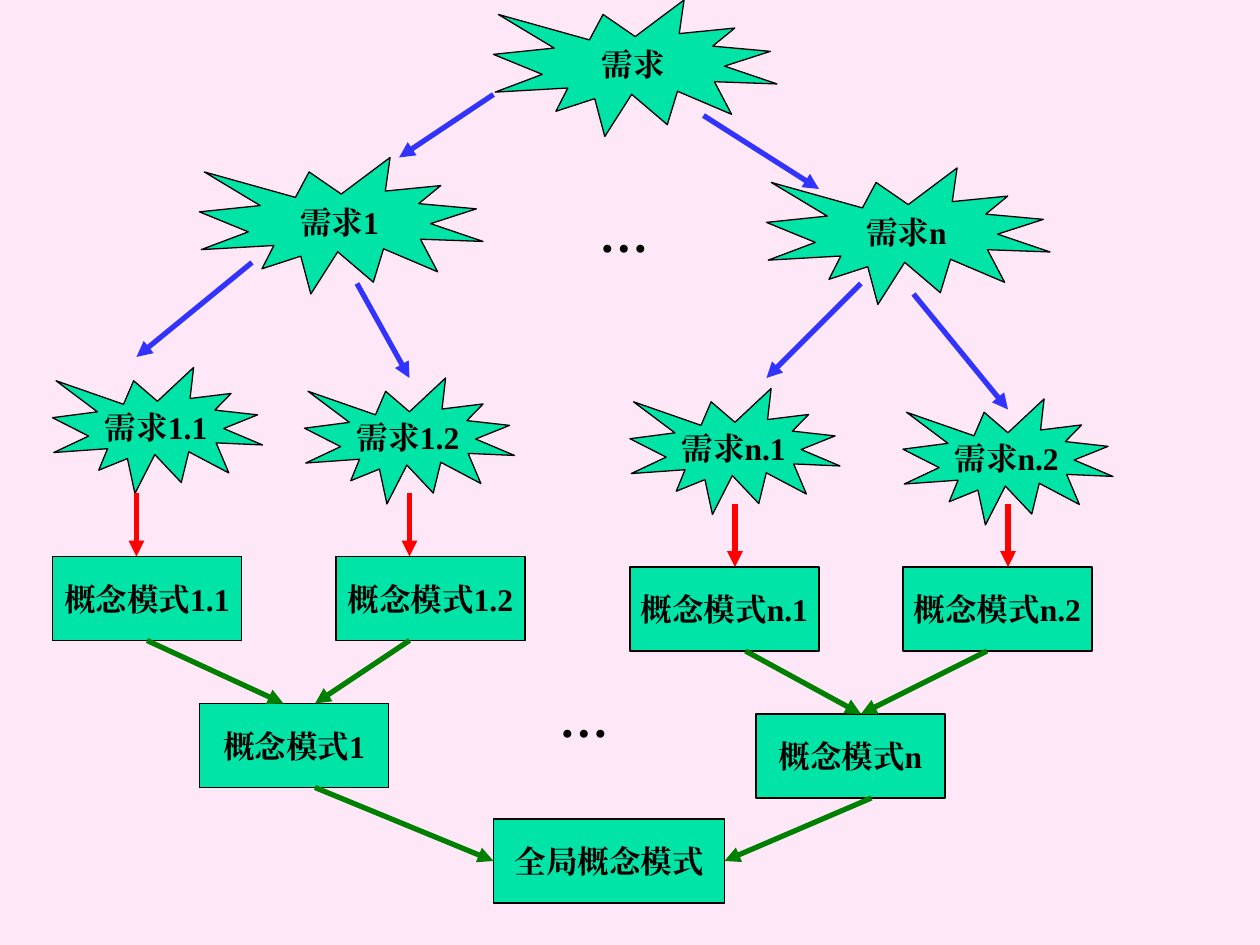
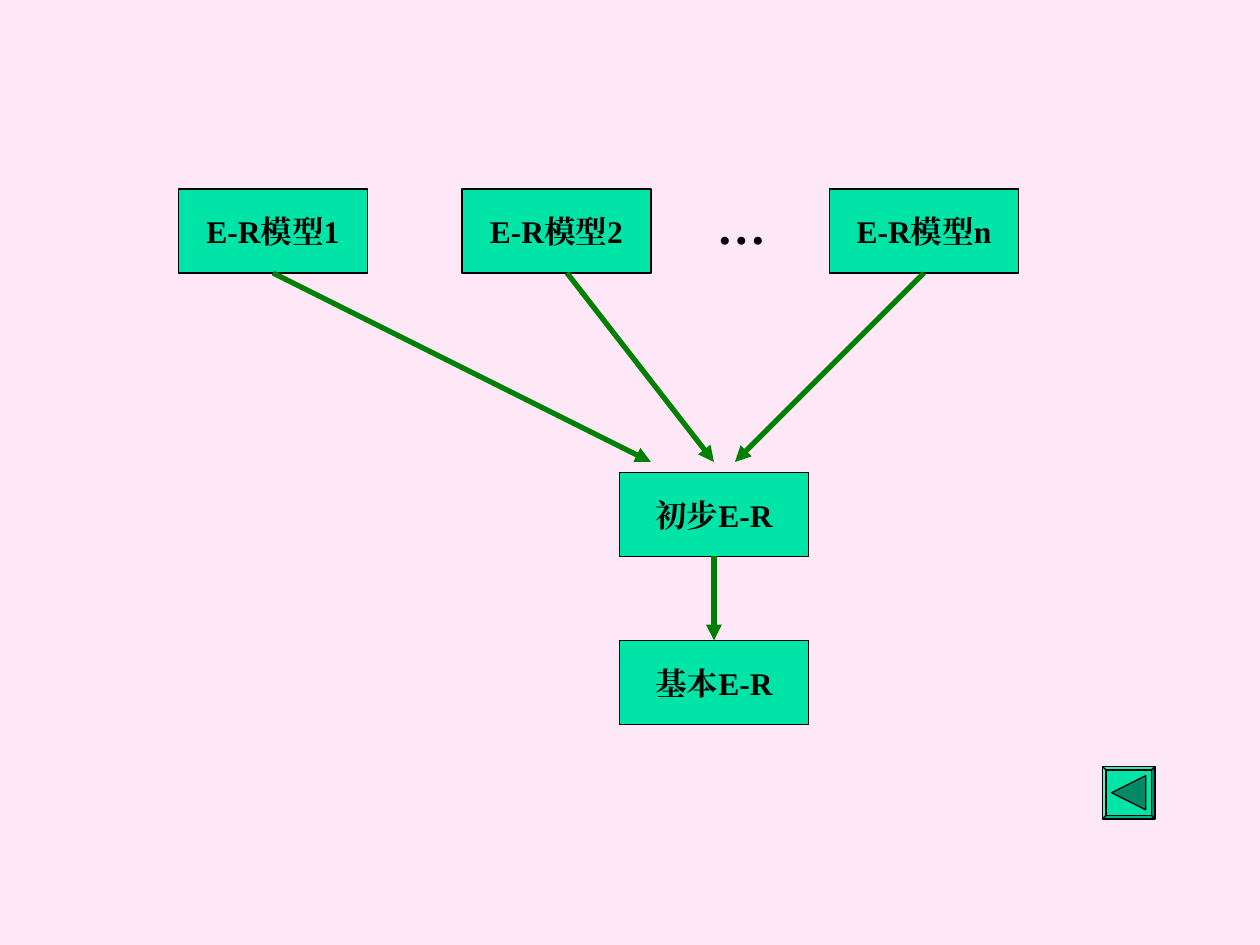
"""Builds two slides on splitting requirements and merging concept models."""
from lxml import etree
from pptx import Presentation, util as u
from pptx.dml.color import RGBColor
from pptx.enum import shapes, text
from pptx.oxml.ns import qn

PINK, MINT, DARK_MINT, BLACK = "FEE8F7", "00E4A8", "008965", "000000"
BLUE, RED, GREEN = "3333FF", "FF0000", "008000"
FONT = "Times New Roman"

UNITS_PER_INCH = 12
BOX, SEAL, SMALL_SEAL, DOTS = (18, 8), (27, 13), (20, 12), (7.1, 6.8)

SLIDES = [
    {
        "seals": [
            ("需求", (47, 0), SEAL),
            ("需求1", (19, 15), SEAL),
            ("需求n", (73, 16), SEAL),
            ("需求1.1", (5, 35), SMALL_SEAL),
            ("需求1.2", (29, 36), SMALL_SEAL),
            ("需求n.1", (60, 37), SMALL_SEAL),
            ("需求n.2", (86, 38), SMALL_SEAL),
        ],
        "boxes": [
            ("概念模式1.1", (5, 53), BOX),
            ("概念模式1.2", (32, 53), BOX),
            ("概念模式n.1", (60, 54), BOX),
            ("概念模式n.2", (86, 54), BOX),
            ("概念模式1", (19, 67), BOX),
            ("概念模式n", (72, 68), BOX),
            ("全局概念模式", (47, 78), (22, 8)),
        ],
        "dots": [(52.1, 65), (55.9, 18.8)],
        "arrows": {
            BLUE: [
                ((47, 9), (38, 15)), ((67, 11), (78, 18)),
                ((24, 25), (13, 34)), ((34, 27), (39, 36)),
                ((82, 27), (73, 36)), ((87, 28), (96, 39)),
            ],
            RED: [
                ((13, 47), (13, 53)), ((39, 47), (39, 53)),
                ((70, 48), (70, 54)), ((96, 48), (96, 54)),
            ],
            GREEN: [
                ((14, 61), (27, 67)), ((39, 61), (30, 67)),
                ((71, 62), (82, 68)), ((94, 62), (82, 68)),
                ((30, 75), (47, 82)), ((83, 76), (69, 82)),
            ],
        },
    },
    {
        "seals": [],
        "boxes": [
            ("E-R模型1", (17, 18), BOX),
            ("E-R模型2", (44, 18), BOX),
            ("E-R模型n", (79, 18), BOX),
            ("初步E-R", (59, 45), BOX),
            ("基本E-R", (59, 61), BOX),
        ],
        "dots": [(67.1, 18)],
        "arrows": {
            GREEN: [
                ((26, 26), (62, 44)), ((54, 26), (68, 44)),
                ((88, 26), (70, 44)), ((68, 53), (68, 61)),
            ],
        },
        "back_button": (105, 73),
    },
]


def grid(*values):
    return [u.Cm(v * 2.54 / UNITS_PER_INCH) for v in values]


def rgb(color):
    return RGBColor.from_string(color)


def paint(sp, color):
    sp.shadow.inherit = False
    sp.fill.solid()
    sp.fill.fore_color.rgb = rgb(color)
    sp.line.color.rgb = rgb(BLACK)
    sp.line.width = u.Pt(0.75)


def write(sp, words, size):
    tf = sp.text_frame
    tf.text = words
    tf.word_wrap = False
    r = tf.paragraphs[0].runs[0]
    r.font.name, r.font.size, r.font.bold = FONT, u.Pt(size), True
    r.font.color.rgb = rgb(BLACK)
    etree.SubElement(r._r.get_or_add_rPr(), qn("a:ea")).set("typeface", FONT)
    return tf


def add_label(s, kind, words, at, size):
    sp = s.shapes.add_shape(kind, *grid(*at, *size))
    paint(sp, MINT)
    tf = write(sp, words, 18)
    tf.vertical_anchor = text.MSO_ANCHOR.MIDDLE
    tf.paragraphs[0].alignment = text.PP_ALIGN.CENTER
    return sp


def side_middles(at, size):
    (x, y), (w, h) = at, size
    return [(x + w / 2, y), (x, y + h / 2), (x + w / 2, y + h), (x + w, y + h / 2)]


def add_arrow(s, start, end, color, joints):
    c = s.shapes.add_connector(shapes.MSO_CONNECTOR.STRAIGHT, *grid(*start, *end))
    c.line.color.rgb = rgb(color)
    c.line.width = u.Pt(3)
    etree.SubElement(c.line._get_or_add_ln(), qn("a:tailEnd")).set("type", "triangle")
    etree.SubElement(c._element.spPr, qn("a:effectLst"))
    if start in joints:
        c.begin_connect(*joints[start])
    if end in joints:
        c.end_connect(*joints[end])


def add_back_button(s, x, y):
    bevel = s.shapes.add_shape(shapes.MSO_SHAPE.BEVEL, *grid(x, y, 5, 5))
    bevel.adjustments[0] = 0.07
    paint(bevel, MINT)
    tip, top, bottom = [grid(x + dx, y + dy) for dx, dy in ((0.87, 2.5), (4.13, 0.87), (4.13, 4.13))]
    fb = s.shapes.build_freeform(*tip)
    fb.add_line_segments([top, bottom], close=True)
    paint(fb.convert_to_shape(), DARK_MINT)


def build_slide(prs, content):
    s = prs.slides.add_slide(prs.slide_layouts[6])
    joints = {}
    for words, at, size in content["seals"]:
        add_label(s, shapes.MSO_SHAPE.EXPLOSION1, words, at, size)
    for words, at, size in content["boxes"]:
        sp = add_label(s, shapes.MSO_SHAPE.RECTANGLE, words, at, size)
        for side, point in enumerate(side_middles(at, size)):
            joints[point] = (sp, side)
    for at in content["dots"]:
        write(s.shapes.add_textbox(*grid(*at, *DOTS)), "…", 28)
    for color, arrows in content["arrows"].items():
        for start, end in arrows:
            add_arrow(s, start, end, color, joints)
    if "back_button" in content:
        add_back_button(s, *content["back_button"])


def main():
    prs = Presentation()
    prs.slide_width, prs.slide_height = u.Cm(25.4), u.Cm(19.05)
    fill = prs.slide_master.background.fill
    fill.solid()
    fill.fore_color.rgb = rgb(PINK)
    for content in SLIDES:
        build_slide(prs, content)
    prs.save("out.pptx")


if __name__ == "__main__":
    main()
